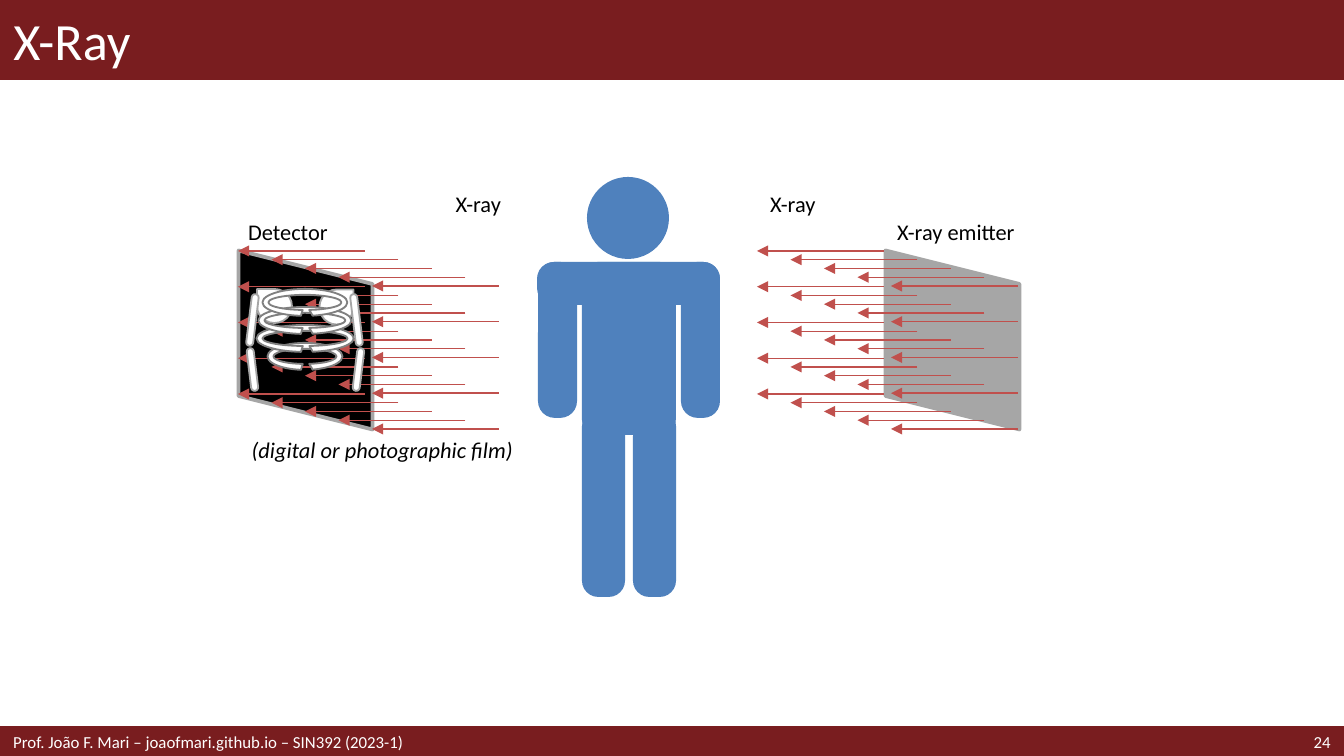
"""Build the X-Ray slide: emitter, patient and detector joined by parallel rays."""
from lxml import etree
from pptx import Presentation
from pptx import util as u
from pptx.dml.color import RGBColor
from pptx.enum import shapes, text
from pptx.oxml import ns

PX = 914400 / 134.4
THEME = {
    "font": "Calibri", "title": 28, "label": 12, "footer": 9,
    "bar": "791D1F", "light": "FFFFFF", "ink": "000000", "person": "4F81BD",
    "panel": "A6A6A6", "ray": "C0504D", "rib": "808080",
}
KIND = shapes.MSO_SHAPE
LEFT, RIGHT = text.PP_ALIGN.LEFT, text.PP_ALIGN.RIGHT

TITLE = ("X-Ray", (0, 0, 1344, 79))
BARS = [((0, 0, 1344, 79), 1), ((0, 728, 1344, 28), 2)]
FOOTERS = [
    ("24", (1191, 728, 153, 28), RIGHT),
    ("Prof. João F. Mari – joaofmari.github.io – SIN392 (2023-1)", (0, 728, 926, 28), LEFT),
]
LABELS = [
    ("X-ray emitter", (884, 218, 276, 28), LEFT, False),
    ("Detector", (235, 218, 276, 28), LEFT, False),
    ("(digital or photographic film)", (175, 436, 338, 28), RIGHT, True),
    ("X-ray", (757, 190, 116, 28), LEFT, False),
    ("X-ray", (385, 190, 116, 28), RIGHT, False),
]
PERSON = [
    (KIND.ROUNDED_RECTANGLE, (538, 262, 39, 156), 0, [0.43]),
    (KIND.ROUNDED_RECTANGLE, (607, 192, 43, 183), 90, [0.39]),
    (KIND.ROUNDED_RECTANGLE, (681, 262, 39, 156), 0, [0.43]),
    (KIND.ROUNDED_RECTANGLE, (582, 262, 94, 173), 0, [0.17]),
    (KIND.ROUNDED_RECTANGLE, (582, 410, 43, 187), 0, [0.38]),
    (KIND.OVAL, (587, 177, 82, 82), 0, []),
    (KIND.ROUNDED_RECTANGLE, (633, 410, 43, 187), 0, [0.38]),
]
PANELS = [
    {"box": (863, 273, 179, 134), "fill": "panel", "ray_tip": 757},
    {"box": (216, 273, 179, 134), "fill": "ink", "ray_tip": 238},
]
RAYS = {"count": 5, "top": 251, "length": 127, "across": 134, "slant": 35, "down": 143}
SHOULDER_BLADES = [((257, 289, 35, 34), 0), ((319, 290, 35, 34), 90)]
RIBS = {"center": 305, "top": 289, "pitch": 18, "height": 27, "widths": [85, 93, 97, 75]}
RIB_ARC = [63.9, 35.89, 0.22]
ARM_BONES = [
    ((249, 294, 7, 52), 7), ((249, 348, 7, 43), 353),
    ((355, 348, 7, 43), 7), ((353, 294, 7, 52), 353),
]


def emu(lengths):
    return [u.Emu(round(length * PX)) for length in lengths]


def color(name):
    return RGBColor.from_string(THEME[name])


def add_shape(parent, kind, box, fill, line=None, width=1, rotation=0, adjustments=()):
    shape = parent.shapes.add_shape(kind, *emu(box))
    shape.shadow.inherit = False
    shape.rotation = rotation
    for index, value in enumerate(adjustments):
        shape.adjustments[index] = value
    shape.fill.solid()
    shape.fill.fore_color.rgb = color(fill)
    if line:
        shape.line.color.rgb = color(line)
        shape.line.width = u.Pt(width)
    else:
        shape.line.fill.background()
    return shape


def write(box, content, size, ink, align=LEFT, italic=False):
    frame = box.text_frame
    frame.word_wrap = True
    frame.text = content
    para = frame.paragraphs[0]
    para.alignment = align
    font = para.runs[0].font
    font.name, font.size = THEME["font"], u.Pt(THEME[size])
    font.color.rgb = color(ink)
    if italic:
        font.italic = True
    return frame


def add_ray(parent, tip, y):
    start_x, tip_x, level = emu((tip + RAYS["length"], tip, y))
    ray = parent.shapes.add_connector(shapes.MSO_CONNECTOR.STRAIGHT, start_x, level, tip_x, level)
    ray.line.color.rgb = color("ray")
    ray.line.width = u.Pt(0.75)
    etree.SubElement(ray.line._get_or_add_ln(), ns.qn("a:tailEnd"), type="triangle")
    etree.SubElement(ray.element.spPr, ns.qn("a:effectLst"))


def add_panel(page, panel):
    group = page.shapes.add_group_shape()
    add_shape(group, KIND.PARALLELOGRAM, panel["box"], panel["fill"], "panel", 2, 90)
    last = RAYS["count"] - 1
    for row in range(RAYS["count"]):
        for column in range(RAYS["count"]):
            x = panel["ray_tip"] + RAYS["across"] * column / last
            y = RAYS["top"] + (RAYS["slant"] * column + RAYS["down"] * row) / last
            add_ray(group, x, y)
    return group


def add_skeleton(group):
    for box, rotation in SHOULDER_BLADES:
        blade = add_shape(group, KIND.TEAR, box, "light", "panel", rotation=rotation)
        blade.element.spPr.xfrm.set("flipH", "1")
    for index, width in reversed(list(enumerate(RIBS["widths"]))):
        box = (RIBS["center"] - width / 2, RIBS["top"] + index * RIBS["pitch"], width, RIBS["height"])
        add_shape(group, KIND.BLOCK_ARC, box, "light", "rib", adjustments=RIB_ARC)
    for box, rotation in ARM_BONES:
        add_shape(group, KIND.ROUNDED_RECTANGLE, box, "light", "panel", 1, rotation, [0.5])


def main():
    deck = Presentation()
    deck.slide_width, deck.slide_height = emu((1344, 756))
    page = deck.slides.add_slide(deck.slide_layouts[5])
    title = page.shapes.title
    for box, width in BARS:
        bar = add_shape(page, KIND.RECTANGLE, box, "bar", "bar", width)
        title.element.addprevious(bar.element)

    content, box = TITLE
    title.left, title.top, title.width, title.height = emu(box)
    frame = write(title, content, "title", "light")
    frame.vertical_anchor = text.MSO_ANCHOR.MIDDLE
    frame.auto_size = text.MSO_AUTO_SIZE.NONE

    for content, box, align in FOOTERS:
        frame = write(page.shapes.add_textbox(*emu(box)), content, "footer", "light", align)
        frame.vertical_anchor = text.MSO_ANCHOR.MIDDLE

    person = page.shapes.add_group_shape()
    for kind, box, rotation, adjustments in PERSON:
        add_shape(person, kind, box, "person", rotation=rotation, adjustments=adjustments)

    emitter, detector = [add_panel(page, panel) for panel in PANELS]
    add_skeleton(detector)

    for content, box, align, italic in LABELS:
        frame = write(page.shapes.add_textbox(*emu(box)), content, "label", "ink", align, italic)
        frame.margin_top = frame.margin_right = frame.margin_bottom = 0
        frame.auto_size = text.MSO_AUTO_SIZE.SHAPE_TO_FIT_TEXT

    deck.save("out.pptx")


if __name__ == "__main__":
    main()
